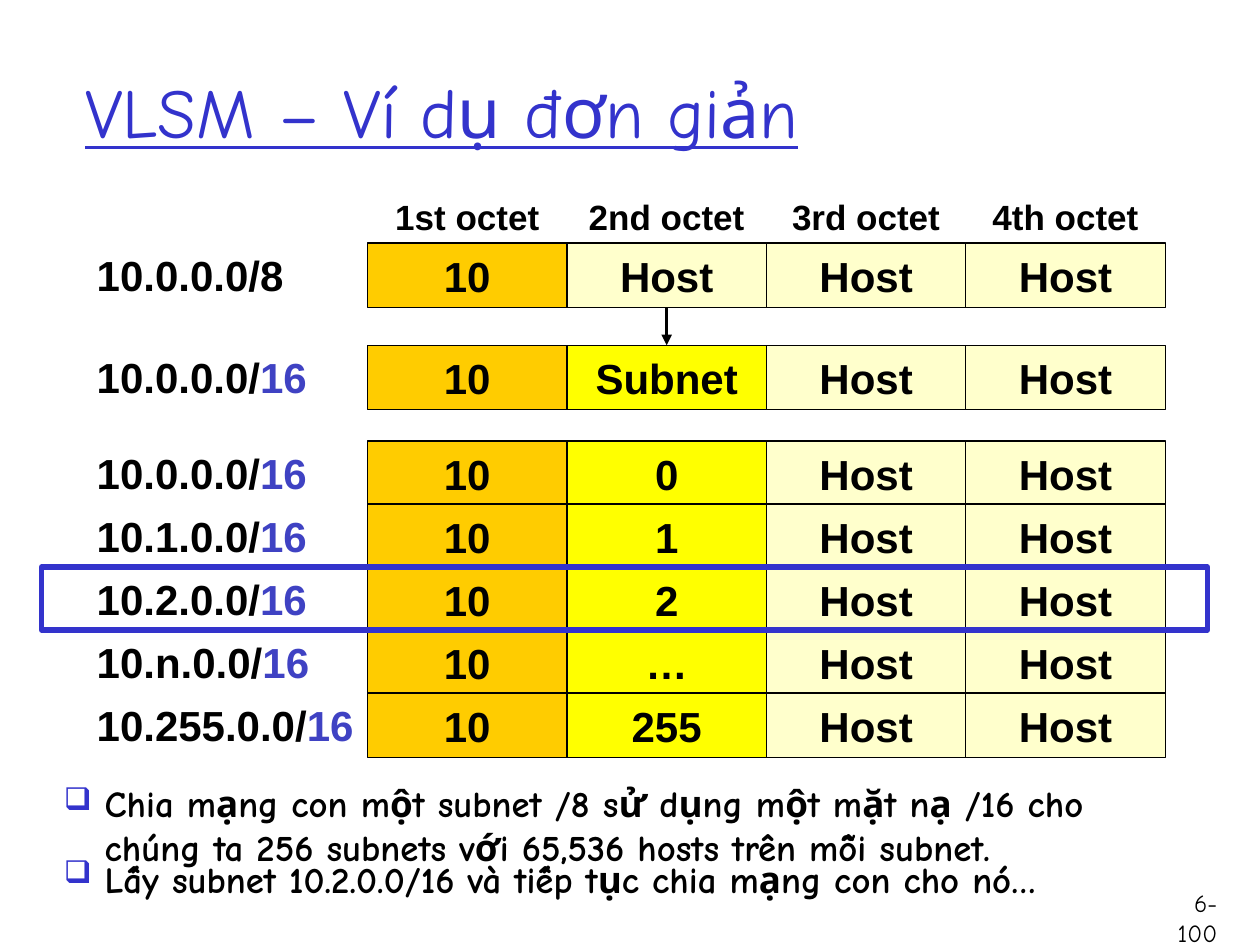
"""Build the slide that explains variable-length subnet masks with an octet grid."""
from lxml.etree import SubElement
from pptx import Presentation
from pptx.dml.color import RGBColor
from pptx.enum.shapes import MSO_CONNECTOR, MSO_SHAPE
from pptx.enum.text import MSO_ANCHOR, PP_ALIGN
from pptx.oxml.ns import qn
from pptx.util import Cm, Pt

BLACK = RGBColor(0x00, 0x00, 0x00)
BLUE = RGBColor(0x33, 0x33, 0xCC)
MASK_BLUE = RGBColor(0x3F, 0x42, 0xC3)
ORANGE = RGBColor(0xFF, 0xCC, 0x00)
YELLOW = RGBColor(0xFF, 0xFF, 0x00)
CREAM = RGBColor(0xFF, 0xFF, 0xCC)

HEADING_FONT = "Comic Neue"
GRID_FONT = "Arial"

GRID_LEFT, COLUMN_WIDTH, ROW_HEIGHT = 7.41, 4.02, 1.3
LABEL_LEFT, LABEL_WIDTH = 1.7, 5.72
HEADER_TOP, BLOCK_TOP, ROW_PITCH = 3.81, 8.89, 1.27

HEADERS = ["1st octet", "2nd octet", "3rd octet", "4th octet"]
SUBNETS = [("10.0.0.0/", "0"), ("10.1.0.0/", "1"), ("10.2.0.0/", "2"),
           ("10.n.0.0/", "…"), ("10.255.0.0/", "255")]
HIGHLIGHTED_ROW = 2
BULLETS = [
    "Chia mạng con một subnet /8 sử dụng một mặt nạ /16 cho chúng ta "
    "256 subnets với 65,536 hosts trên mỗi subnet.",
    "Lấy subnet 10.2.0.0/16 và tiếp tục chia mạng con cho nó…",
]


def style_font(font, name, size, color=BLACK, bold=False):
    """Set the typeface, size, colour and weight of a font."""
    font.name = name
    font.size = Pt(size)
    font.color.rgb = color
    font.bold = bold


def add_text(slide, box, text, name, size, color=BLACK, bold=False, align=PP_ALIGN.LEFT):
    """Add a wrapping text box with one paragraph and return its text frame."""
    text_frame = slide.shapes.add_textbox(*map(Cm, box)).text_frame
    text_frame.word_wrap = True
    text_frame.text = text
    paragraph = text_frame.paragraphs[0]
    paragraph.alignment = align
    style_font(paragraph.runs[0].font, name, size, color, bold)
    return text_frame


def add_rectangle(slide, box, fill, line_color, line_width):
    """Add a rectangle, hollow when fill is None."""
    shape = slide.shapes.add_shape(MSO_SHAPE.RECTANGLE, *map(Cm, box))
    shape.shadow.inherit = False
    if fill is None:
        shape.fill.background()
    else:
        shape.fill.solid()
        shape.fill.fore_color.rgb = fill
    shape.line.color.rgb = line_color
    shape.line.width = Pt(line_width)
    return shape


def add_cell(slide, column, top, text, fill):
    """Add one octet cell of the grid."""
    box = (GRID_LEFT + column * COLUMN_WIDTH, top, COLUMN_WIDTH, ROW_HEIGHT)
    shape = add_rectangle(slide, box, fill, BLACK, 0.75)
    text_frame = shape.text_frame
    text_frame.text = text
    text_frame.vertical_anchor = MSO_ANCHOR.MIDDLE
    paragraph = text_frame.paragraphs[0]
    paragraph.alignment = PP_ALIGN.CENTER
    style_font(paragraph.runs[0].font, GRID_FONT, 24, bold=True)
    return shape


def add_address_row(slide, top, address, mask, second_octet, second_fill):
    """Add an address label with its four cells and return the second cell."""
    label = add_text(slide, (LABEL_LEFT, top, LABEL_WIDTH, ROW_HEIGHT),
                     address, GRID_FONT, 24, bold=True)
    if mask:
        run = label.paragraphs[0].add_run()
        run.text = mask
        style_font(run.font, GRID_FONT, 24, MASK_BLUE, True)
    octets = [("10", ORANGE), (second_octet, second_fill), ("Host", CREAM), ("Host", CREAM)]
    cells = [add_cell(slide, column, top, text, fill)
             for column, (text, fill) in enumerate(octets)]
    return cells[1]


def add_arrow(slide, source, target):
    """Join the bottom of one cell to the top of another with an arrow."""
    connector = slide.shapes.add_connector(MSO_CONNECTOR.STRAIGHT, 0, 0, 0, 0)
    connector.begin_connect(source, 2)
    connector.end_connect(target, 0)
    connector.line.color.rgb = BLACK
    connector.line.width = Pt(2)
    SubElement(connector.line._get_or_add_ln(), qn("a:tailEnd"), type="triangle")
    SubElement(connector._element.spPr, qn("a:effectLst"))


def add_bullet(paragraph):
    """Give a paragraph a hanging blue box bullet."""
    properties = paragraph._p.get_or_add_pPr()
    properties.set("marL", str(Cm(0.82)))
    properties.set("indent", str(-Cm(0.82)))
    color = SubElement(properties, qn("a:buClr"))
    SubElement(color, qn("a:srgbClr"), val=str(BLUE))
    SubElement(properties, qn("a:buSzPct"), val="85000")
    SubElement(properties, qn("a:buChar"), char="❑")


def add_bullets(slide):
    """Add the explanation below the grid."""
    text_frame = slide.shapes.add_textbox(Cm(1.04), Cm(15.62), Cm(22.94), Cm(2.18)).text_frame
    text_frame.word_wrap = True
    text_frame.text = "\n".join(BULLETS)
    for paragraph in text_frame.paragraphs:
        add_bullet(paragraph)
        style_font(paragraph.runs[0].font, HEADING_FONT, 21, bold=True)
    last = text_frame.paragraphs[-1]
    last.line_spacing = 0.5
    last.space_before = Pt(4)


def main():
    """Build and save the slide."""
    presentation = Presentation()
    presentation.slide_width, presentation.slide_height = Cm(25.4), Cm(19.05)
    slide = presentation.slides.add_slide(presentation.slide_layouts[6])

    add_text(slide, (23.06, 17.78, 1.73, 1.27), "6-100", HEADING_FONT, 14, align=PP_ALIGN.RIGHT)
    title = add_text(slide, (1.47, 0.64, 21.59, 3.18), "VLSM – Ví dụ đơn giản",
                     HEADING_FONT, 40, BLUE)
    title.vertical_anchor = MSO_ANCHOR.MIDDLE
    title.paragraphs[0].runs[0].font.underline = True
    add_bullets(slide)

    for column, header in enumerate(HEADERS):
        box = (GRID_LEFT + column * COLUMN_WIDTH, HEADER_TOP, COLUMN_WIDTH, 1.09)
        add_text(slide, box, header, GRID_FONT, 20, bold=True, align=PP_ALIGN.CENTER)
    host_cell = add_address_row(slide, 4.9, "10.0.0.0/8", "", "Host", CREAM)
    subnet_cell = add_address_row(slide, 6.96, "10.0.0.0/", "16", "Subnet", YELLOW)
    add_arrow(slide, host_cell, subnet_cell)
    for row, (address, second_octet) in enumerate(SUBNETS):
        add_address_row(slide, BLOCK_TOP + row * ROW_PITCH, address, "16", second_octet, YELLOW)
    frame_top = BLOCK_TOP + HIGHLIGHTED_ROW * ROW_PITCH
    add_rectangle(slide, (0.84, frame_top, 23.5, ROW_PITCH), None, BLUE, 3)

    presentation.save("out.pptx")


if __name__ == "__main__":
    main()
